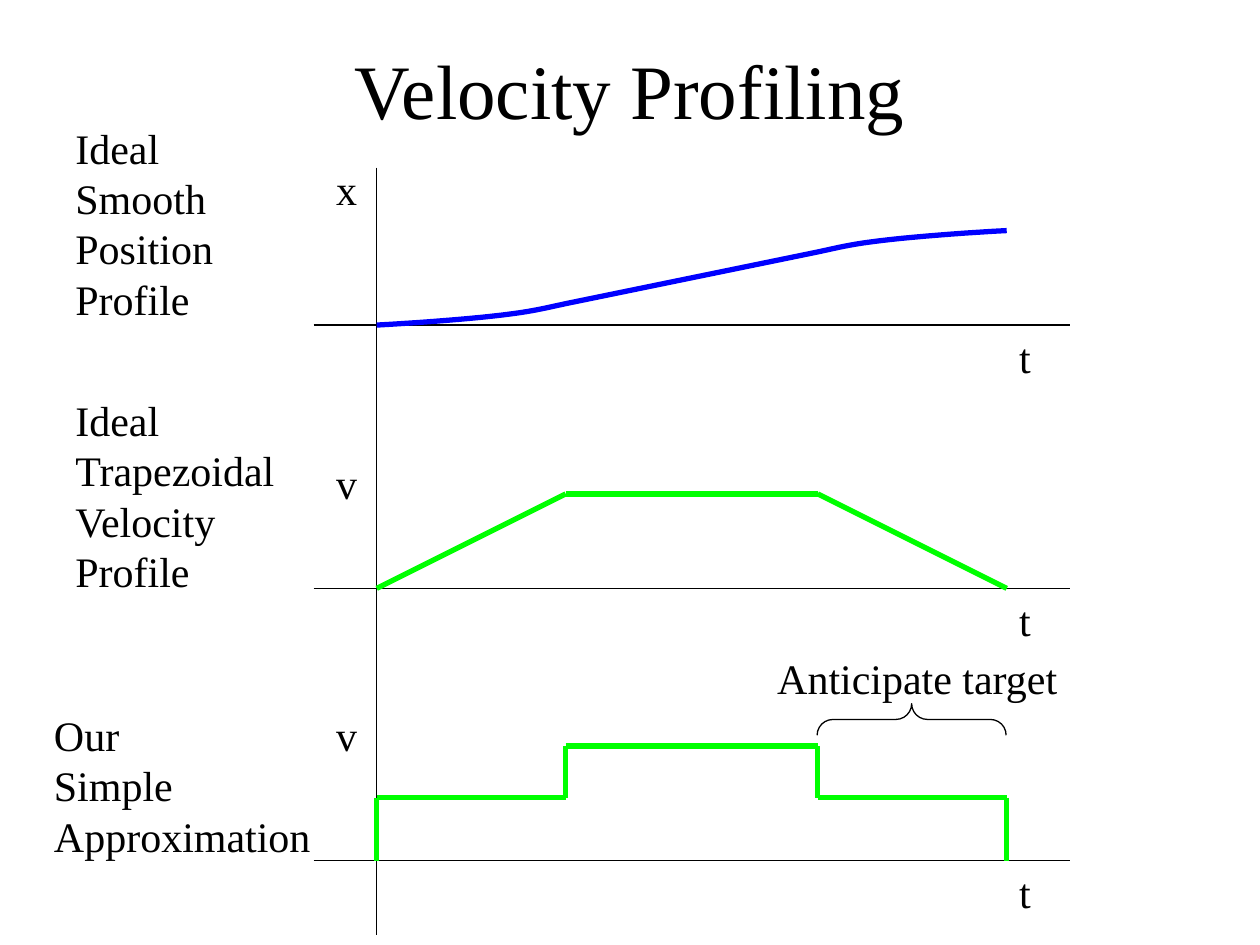
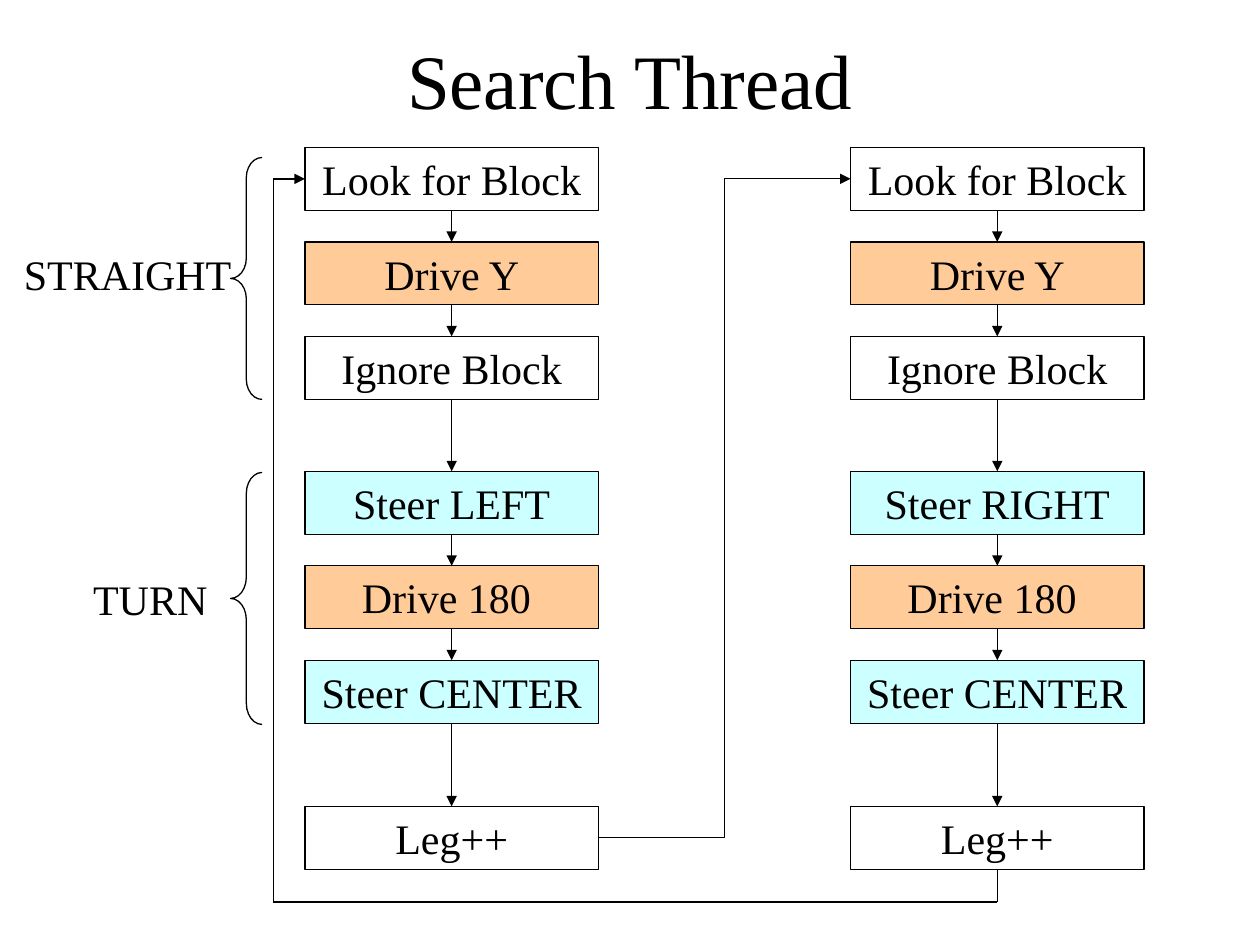
from itertools import pairwise

from pptx import Presentation
from pptx.dml.color import RGBColor
from pptx.enum.shapes import MSO_CONNECTOR, MSO_SHAPE
from pptx.enum.text import MSO_ANCHOR, MSO_AUTO_SIZE, PP_ALIGN
from pptx.oxml.ns import qn
from pptx.util import Inches, Pt
from lxml import etree

FONT = "Times New Roman"
COLORS = {
    "ink": "000000",
    "position": "0000FF",
    "velocity": "00FF00",
    "drive": "FFCC99",
    "steer": "CCFFFF",
}
THIN, THICK = 0.75, 3


def rgb(name):
    return RGBColor.from_string(COLORS[name])


def write(tf, text, size=24, align=PP_ALIGN.LEFT):
    tf.text = text
    for p in tf.paragraphs:
        p.alignment = align
        for r in p.runs:
            r.font.name = FONT
            r.font.size = Pt(size)
            r.font.color.rgb = rgb("ink")


def add_title(s, text, top):
    tf = s.shapes.add_textbox(Inches(0.75), Inches(top), Inches(8.5), Inches(1.25)).text_frame
    tf.word_wrap = True
    tf.vertical_anchor = MSO_ANCHOR.MIDDLE
    write(tf, text, 44, PP_ALIGN.CENTER)


def add_label(s, text, left, top, width):
    height = 0.1 + 0.4 * len(text.split("\n"))
    tf = s.shapes.add_textbox(Inches(left), Inches(top), Inches(width), Inches(height)).text_frame
    tf.word_wrap = False
    tf.auto_size = MSO_AUTO_SIZE.SHAPE_TO_FIT_TEXT
    write(tf, text)


def add_line(s, start, end, color="ink", weight=THIN, arrow=False, kind=MSO_CONNECTOR.STRAIGHT):
    c = s.shapes.add_connector(kind, *(Inches(v) for v in (*start, *end)))
    c.line.color.rgb = rgb(color)
    c.line.width = Pt(weight)
    if arrow:
        etree.SubElement(c.line._get_or_add_ln(), qn("a:tailEnd"), type="triangle")
    etree.SubElement(c._element.spPr, qn("a:effectLst"))


def add_path(s, points, color="ink", weight=THIN, arrow=False):
    """Chain of straight segments, with an optional arrow on the last one."""
    for start, end in pairwise(points):
        add_line(s, start, end, color, weight, arrow and end == points[-1])


def style_outline(sp, color="ink", weight=THIN):
    sp.shadow.inherit = False
    sp.fill.background()
    sp.line.color.rgb = rgb(color)
    sp.line.width = Pt(weight)


def add_brace(s, left, top, width, height, curve, rotation=0):
    sp = s.shapes.add_shape(MSO_SHAPE.LEFT_BRACE, Inches(left), Inches(top),
                            Inches(width), Inches(height))
    sp.adjustments[0] = curve
    sp.rotation = rotation
    style_outline(sp)


def bezier(p0, p1, p2, p3, steps=10):
    """Points along a cubic curve, leaving out its start."""
    for i in range(1, steps + 1):
        t = i / steps
        weights = ((1 - t) ** 3, 3 * t * (1 - t) ** 2, 3 * t * t * (1 - t), t ** 3)
        yield tuple(sum(w * p[axis] for w, p in zip(weights, (p0, p1, p2, p3)))
                    for axis in (0, 1))


# Velocity profiling: three plots over one shared vertical axis
PLOT_LEFT, PLOT_WIDTH, ORIGIN = 2.49, 6, 2.99
SPEED_UP, SLOW_DOWN, STOP = 1.5, 3.5, 5  # times measured from the origin


def plot_frame(s, axis_y, quantity, quantity_top, caption, caption_box):
    add_line(s, (PLOT_LEFT, axis_y), (PLOT_LEFT + PLOT_WIDTH, axis_y))
    add_label(s, "t", ORIGIN + STOP, axis_y, 0.29)
    add_label(s, quantity, 2.57, quantity_top, 0.36)
    add_label(s, caption, *caption_box)


def on_plot(axis_y, points):
    return [(ORIGIN + t, axis_y - value) for t, value in points]


def position_curve(s, axis_y):
    knots = on_plot(axis_y, [
        (0, 0), (0.37, 0.02), (0.75, 0.05), (1, 0.08),
        (1.25, 0.11), (1.36, 0.14), (SPEED_UP, 0.17),
        (SLOW_DOWN, 0.58), (3.64, 0.61), (3.75, 0.64), (4, 0.67),
        (4.25, 0.7), (4.63, 0.73), (STOP, 0.75)])
    points = []
    for first in (0, 3, 7, 10):
        if first == 7:  # straight run between the two bends
            points.append(knots[first])
        points += bezier(*knots[first:first + 4])
    x, y = knots[0]
    fb = s.shapes.build_freeform(Inches(x), Inches(y), scale=1.0)
    fb.add_line_segments([(Inches(x), Inches(y)) for x, y in points], close=False)
    style_outline(fb.convert_to_shape(), "position", THICK)


def velocity_slide(prs):
    s = prs.slides.add_slide(prs.slide_layouts[6])
    add_title(s, "Velocity Profiling", 0.08)
    add_line(s, (ORIGIN, 1.33), (ORIGIN, 7.42))

    # Smooth position
    plot_frame(s, 2.58, "x", 1.25, "Ideal\nSmooth\nPosition\nProfile", (0.5, 0.92, 1.29))
    position_curve(s, 2.58)

    # Trapezoidal velocity
    plot_frame(s, 4.67, "v", 3.58, "Ideal\nTrapezoidal\nVelocity\nProfile", (0.5, 3.08, 1.79))
    trapezoid = [(0, 0), (SPEED_UP, 0.75), (SLOW_DOWN, 0.75), (STOP, 0)]
    add_path(s, on_plot(4.67, trapezoid), "velocity", THICK)

    # Stepped approximation
    plot_frame(s, 6.83, "v", 5.58, "Our\nSimple\nApproximation", (0.33, 5.58, 2.3))
    low, high = 0.5, 0.91
    steps = [(0, 0), (0, low), (SPEED_UP, low), (SPEED_UP, high),
             (SLOW_DOWN, high), (SLOW_DOWN, low), (STOP, low), (STOP, 0)]
    add_path(s, on_plot(6.83, steps), "velocity", THICK)
    add_brace(s, 7.11, 4.96, 0.25, 1.5, 0.5, rotation=90)
    add_label(s, "Anticipate target", 6.07, 5.13, 2.43)


# Search thread: two legs of steps linked in a loop
BOX_W, BOX_H, PITCH = 2.33, 0.5, 0.75
STRAIGHT_TOP, TURN_TOP, LEG_TOP = 1.17, 3.74, 6.4


def add_step(s, text, left, top, fill):
    sp = s.shapes.add_shape(MSO_SHAPE.RECTANGLE, Inches(left), Inches(top),
                            Inches(BOX_W), Inches(BOX_H))
    style_outline(sp)
    if fill:
        sp.fill.solid()
        sp.fill.fore_color.rgb = rgb(fill)
    tf = sp.text_frame
    tf.word_wrap = True
    tf.vertical_anchor = MSO_ANCHOR.TOP
    write(tf, text, align=PP_ALIGN.CENTER)


def leg_column(s, left, turn):
    tops = [group + i * PITCH for group in (STRAIGHT_TOP, TURN_TOP) for i in range(3)]
    tops.append(LEG_TOP)
    steps = [("Look for Block", None), ("Drive Y", "drive"), ("Ignore Block", None),
             (f"Steer {turn}", "steer"), ("Drive 180 ", "drive"), ("Steer CENTER", "steer"),
             ("Leg++", None)]
    for (text, fill), top in zip(steps, tops):
        add_step(s, text, left, top, fill)
    center = left + BOX_W / 2
    for top, next_top in pairwise(tops):
        add_line(s, (center, top + BOX_H), (center, next_top), arrow=True)


def search_slide(prs):
    s = prs.slides.add_slide(prs.slide_layouts[6])
    add_title(s, "Search Thread", 0)
    first, second = 2.42, 6.75
    leg_column(s, first, "LEFT")
    leg_column(s, second, "RIGHT")

    # Links between the legs
    entry_y = STRAIGHT_TOP + BOX_H / 2
    add_line(s, (first + BOX_W, LEG_TOP + BOX_H / 2), (second, entry_y),
             arrow=True, kind=MSO_CONNECTOR.ELBOW)
    exit_x, loop_x, loop_y = second + BOX_W / 2, first - 0.25, 7.16
    add_path(s, [(exit_x, LEG_TOP + BOX_H), (exit_x, loop_y), (loop_x, loop_y),
                 (loop_x, entry_y), (first, entry_y)], arrow=True)

    # Phase names
    add_label(s, "STRAIGHT", 0.09, 1.92, 1.85)
    add_brace(s, 1.83, 1.25, 0.25, 1.92, 0.64)
    add_label(s, "TURN", 0.64, 4.5, 1.11)
    add_brace(s, 1.83, 3.75, 0.25, 2, 0.67)


def main():
    prs = Presentation()
    prs.slide_width, prs.slide_height = Inches(10), Inches(7.5)
    velocity_slide(prs)
    search_slide(prs)
    prs.save("out.pptx")


if __name__ == "__main__":
    main()
